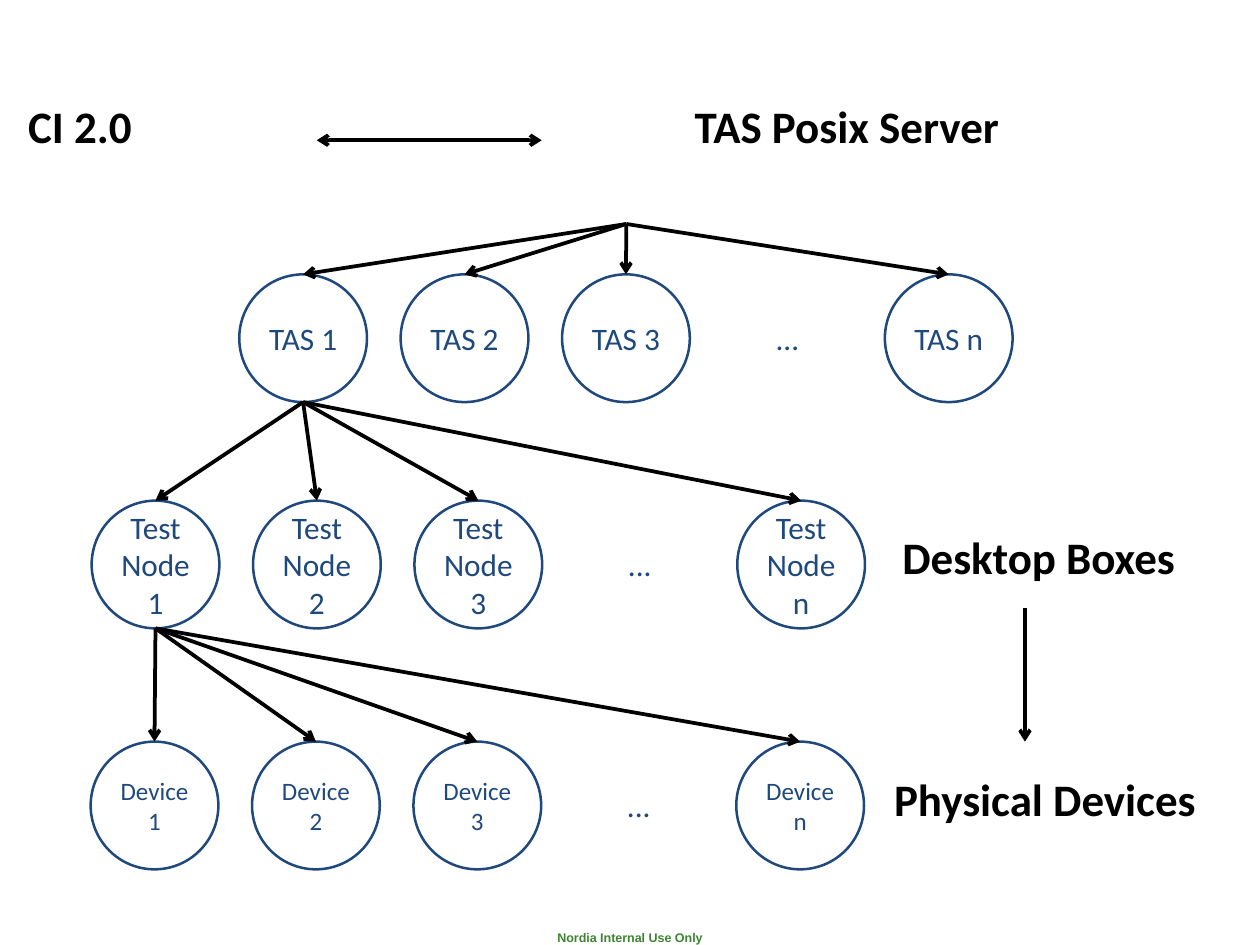
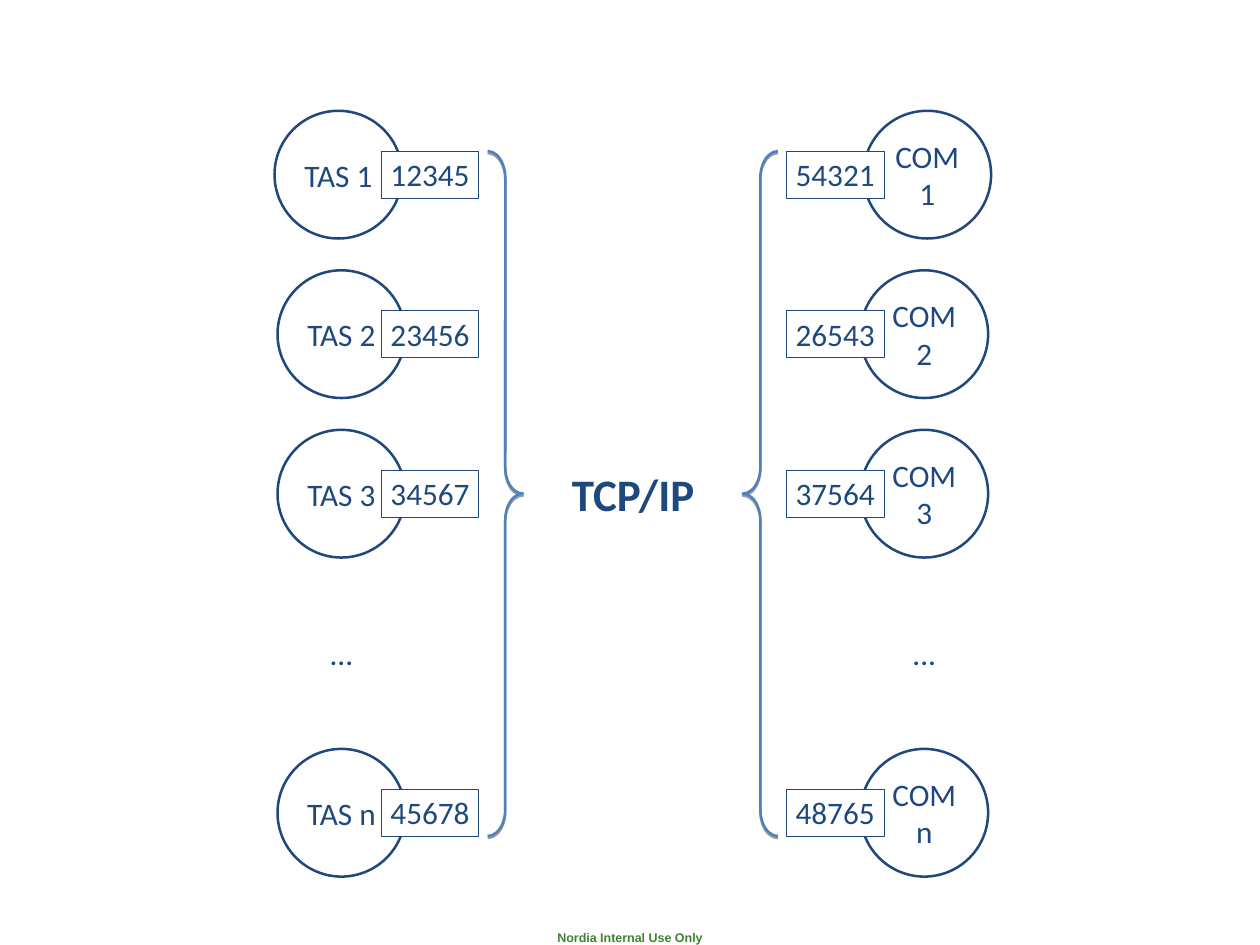
from collections import namedtuple
from dataclasses import dataclass

from lxml.etree import SubElement
from pptx import Presentation
from pptx.dml.color import RGBColor as RGB
from pptx.enum.shapes import MSO_CONNECTOR as Conn, MSO_SHAPE as Kind
from pptx.enum.text import MSO_ANCHOR as Anchor, MSO_AUTO_SIZE as Fit, PP_ALIGN as Align
from pptx.oxml.ns import qn
from pptx.util import Pt

Box = namedtuple("Box", "x y w h")


@dataclass(frozen=True)
class Theme:
    font: str = "Calibri"
    note_font: str = "Arial"
    black: RGB = RGB(0, 0, 0)
    white: RGB = RGB(255, 255, 255)
    navy: RGB = RGB.from_string("1F497D")
    blue: RGB = RGB.from_string("4F81BD")
    green: RGB = RGB.from_string("3E8430")
    head: int = 36
    body: int = 25
    small: int = 20
    note: int = 10


T = Theme()
WIDE, HIGH = 1008, 756
DISC = 102.2          # diameter of every circle
TOP, BASE = 0, 2      # sites that connectors move to
FOOT = "4"            # lowest of the eight sites on a circle
MARKS = ["1", "2", "3", "...", "n"]


# Shared helpers
def pts(box):
    return [Pt(n) for n in box]


def write(shape, text, size, color, bold=False, font=T.font,
          align=Align.CENTER, anchor=Anchor.MIDDLE, pad=(7.2, 3.6)):
    frame = shape.text_frame
    frame.text = text
    frame.word_wrap = True
    frame.auto_size = Fit.NONE
    frame.vertical_anchor = anchor
    frame.margin_left = frame.margin_right = Pt(pad[0])
    frame.margin_top = frame.margin_bottom = Pt(pad[1])
    par = frame.paragraphs[0]
    par.alignment = align
    face = par.runs[0].font
    face.name, face.size, face.bold = font, Pt(size), bold
    face.color.rgb = color


def label(shape, box, text, color=T.black):
    shape.left, shape.top, shape.width, shape.height = pts(box)
    write(shape, text, T.head, color, bold=True, pad=(10, 5))


def outline(shape, color, width):
    shape.line.color.rgb = color
    shape.line.width = Pt(width)


def disc(shapes, x, y, text, size):
    ball = shapes.add_shape(Kind.OVAL, *pts((x, y, DISC, DISC)))
    ball.shadow.inherit = False
    ball.fill.background()
    if text == "...":
        ball.line.fill.background()
    else:
        outline(ball, T.navy, 2)
    write(ball, text, size, T.navy)
    return ball


def arrow(shapes, start, end, ends=("tailEnd",)):
    line = shapes.add_connector(Conn.STRAIGHT, *pts(start + end))
    outline(line, T.black, 3)
    props = line.element.spPr
    for name in ends:
        SubElement(props.find(qn("a:ln")), qn("a:" + name), type="arrow")
    SubElement(props, qn("a:effectLst"))
    return line


def footer(deck, slide):
    """Build the footer, then hand it to the master that all slides share."""
    note = slide.shapes.add_textbox(*pts((0, 738.7, WIDE, 22.3)))
    write(note, "Nordia Internal Use Only", T.note, T.green, bold=True,
          font=T.note_font, anchor=Anchor.TOP, pad=(10, 5))
    deck.slide_master.shapes.element.append(note.element)


# Tree of servers, nodes and devices
def row(shapes, box, name, size):
    """Spread one circle per mark over the box; return the drawn circles."""
    step = (box.w - DISC) / (len(MARKS) - 1)
    balls = []
    for i, mark in enumerate(MARKS):
        gap = mark == "..."
        ball = disc(shapes, box.x + i * step, box.y,
                    mark if gap else f"{name} {mark}", T.body if gap else size)
        if not gap:
            balls.append(ball)
    return balls


def fan(shapes, start, balls, parent=None):
    for ball in balls:
        line = arrow(shapes, start, start)
        if parent is not None:
            line.begin_connect(parent, BASE)
            line.element.find(".//" + qn("a:stCxn")).set("idx", FOOT)
        line.end_connect(ball, TOP)


def tree(slide, box):
    shapes = slide.shapes
    span = 618.7
    tas = row(shapes, Box(box.x + 118.9, box.y, span, DISC), "TAS", T.body)
    nodes = row(shapes, Box(box.x + 0.8, box.y + 181, span, DISC), "Test Node", T.body)
    tools = row(shapes, Box(box.x, box.y + 373.8, span, DISC), "Device", T.small)
    fan(shapes, (box.x + 428.6, box.y - 40.3), tas)
    fan(shapes, (0, 0), nodes, tas[0])
    fan(shapes, (0, 0), tools, nodes[0])


def heads(slide, box):
    """Headings around the tree and the arrows between them."""
    shapes = slide.shapes
    label(shapes.title, Box(box.x + 488, box.y, 379, 67), "TAS Posix Server")
    for text, x, y, w in [("CI 2.0", 0, 0, 128),
                          ("Desktop Boxes", 659, 344.9, 344),
                          ("Physical Devices", 664, 538.5, 344)]:
        note = shapes.add_textbox(0, 0, 0, 0)
        label(note, Box(box.x + x, box.y + y, w, 67), text)
    mid, side = box.y + 45.2, box.x + 820
    arrow(shapes, (box.x + 433.4, mid), (box.x + 253.4, mid), ("headEnd", "tailEnd"))
    arrow(shapes, (side, box.y + 419), (side, box.y + 526.3))


# Column of circles with port tags and a brace
def tag(shapes, x, y, port):
    card = shapes.add_shape(Kind.RECTANGLE, *pts((x, y, 77.8, 37.5)))
    card.shadow.inherit = False
    card.fill.solid()
    card.fill.fore_color.rgb = T.white
    outline(card, T.navy, 0.75)
    write(card, port, T.body, T.navy, align=Align.LEFT, anchor=Anchor.TOP)
    card.text_frame.word_wrap = False
    card.text_frame.auto_size = Fit.SHAPE_TO_FIT_TEXT


def brace(shapes, box, kind):
    curve = shapes.add_shape(kind, *pts(box))
    curve.adjustments[0] = 0.75
    curve.fill.background()
    outline(curve, T.blue, 2)
    curve.shadow.inherit = False
    glow = SubElement(curve.element.spPr.find(qn("a:effectLst")), qn("a:outerShdw"),
                      blurRad="0", dist=str(int(Pt(1.6))), dir="5400000", rotWithShape="0")
    tint = SubElement(glow, qn("a:srgbClr"), val=str(T.black))
    SubElement(tint, qn("a:alpha"), val="38000")


def column(slide, box, name, ports, flip=False):
    """Place circles at the outer edge of the box and the brace at the inner one."""
    shapes = slide.shapes.add_group_shape().shapes
    step = (box.h - DISC) / (len(MARKS) - 1)

    def at(x, w):
        return box.x + (box.w - x - w if flip else x)

    for i, mark in enumerate(MARKS):
        text = mark if mark == "..." else f"{name} {mark}"
        disc(shapes, at(2.4 if i else 0, DISC), box.y + i * step, text, T.body)
    for i, port in ports.items():
        tag(shapes, at(85.7, 77.8), box.y + i * step + 32.3, port)
    kind = Kind.LEFT_BRACE if flip else Kind.RIGHT_BRACE
    brace(shapes, Box(at(170.5, 28.2), box.y + 32.3, 28.2, 548), kind)


def main():
    deck = Presentation()
    deck.slide_width, deck.slide_height = Pt(WIDE), Pt(HIGH)
    plain = deck.slide_layouts[5]

    # Slide 1: server tree
    slide = deck.slides.add_slide(plain)
    footer(deck, slide)
    heads(slide, Box(0, 67, WIDE, 606))
    tree(slide, Box(72.5, 219.5, 738, 476))

    # Slide 2: ports on both sides of the link
    slide = deck.slides.add_slide(plain)
    label(slide.shapes.title, Box(435.6, 361.4, 141.8, 67), "TCP/IP", T.navy)
    column(slide, Box(219.6, 88.6, 198.7, 612.7), "TAS",
           {0: "12345", 1: "23456", 2: "34567", 4: "45678"})
    column(slide, Box(594.2, 88.6, 198.7, 612.7), "COM",
           {0: "54321", 1: "26543", 2: "37564", 4: "48765"}, flip=True)

    deck.save("out.pptx")


if __name__ == "__main__":
    main()
